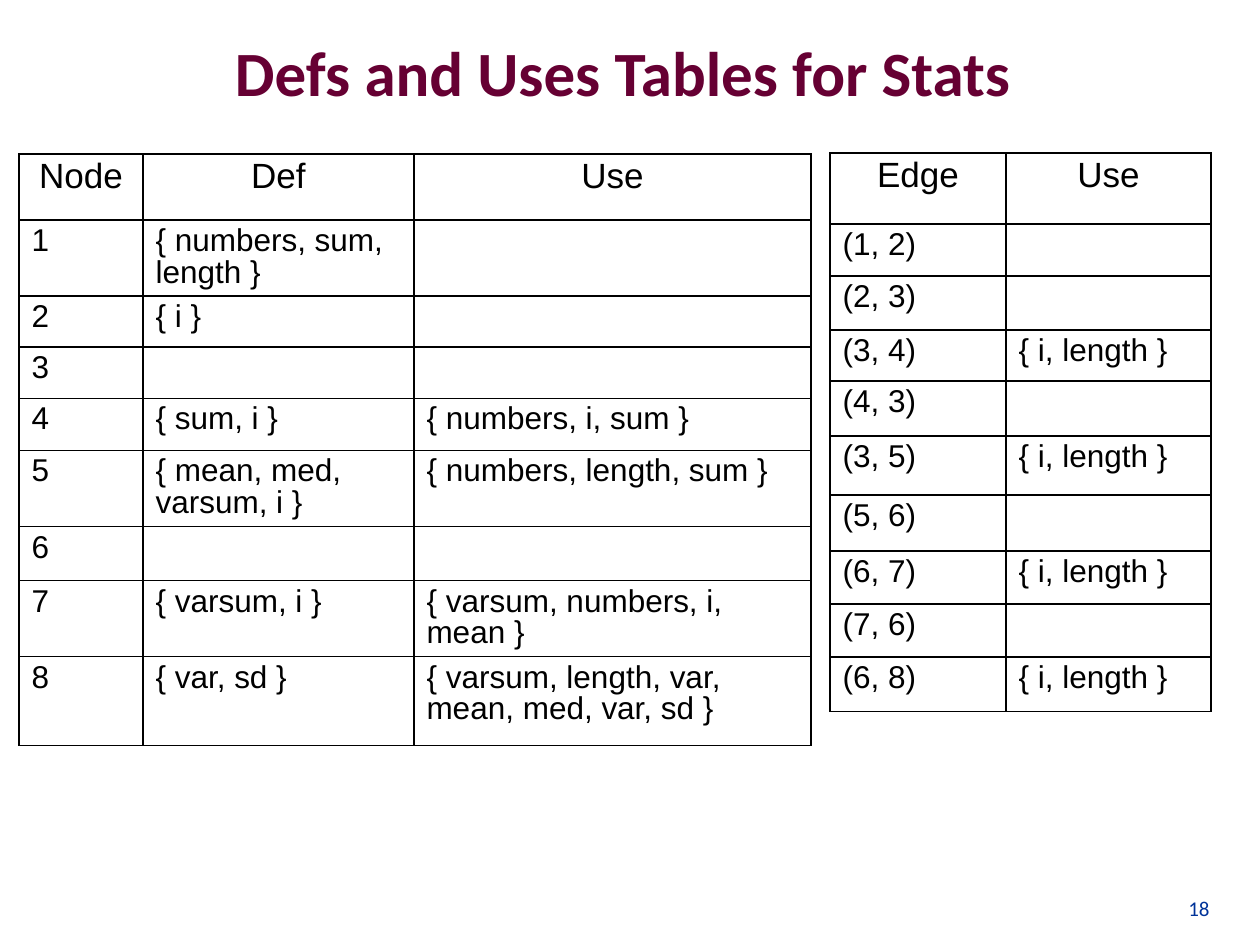
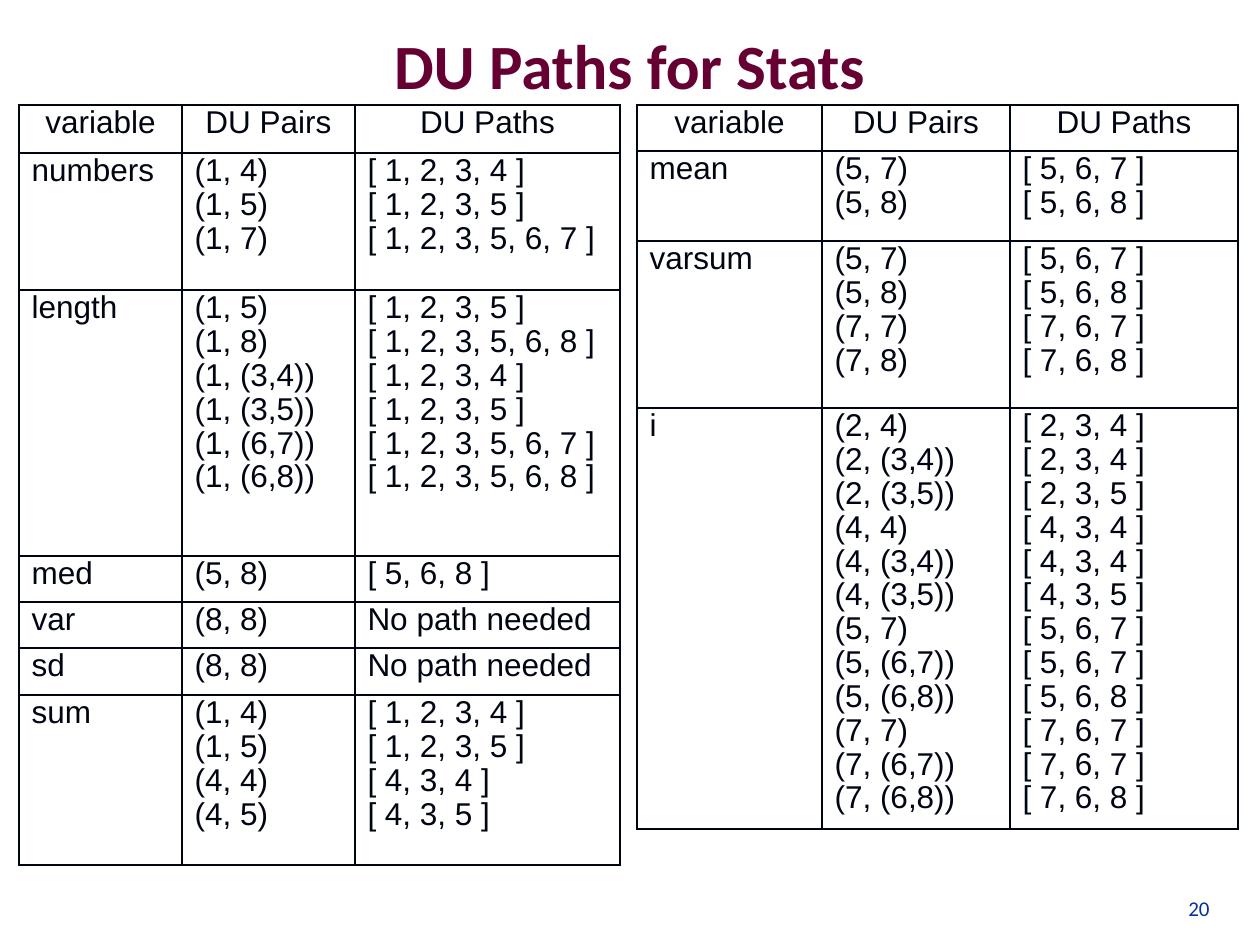
import pptx
import pptx.util
import pptx.dml.color
import pptx.enum.text
import pptx.oxml
import pptx.oxml.ns

PX = 914400 / 126
WHITE = pptx.dml.color.RGBColor(0xFF, 0xFF, 0xFF)
BLACK = pptx.dml.color.RGBColor(0x00, 0x00, 0x00)
INK = pptx.dml.color.RGBColor(0x00, 0x05, 0x14)
MAROON = pptx.dml.color.RGBColor(0x66, 0x00, 0x33)
BLUE = pptx.dml.color.RGBColor(0x00, 0x33, 0x99)
ALIGN = pptx.enum.text.PP_ALIGN
ANCHOR = pptx.enum.text.MSO_ANCHOR

NODES = [
    ("Node", "Def", "Use"),
    ("1", "{ numbers, sum, length }", ""),
    ("2", "{ i }", ""),
    ("3", "", ""),
    ("4", "{ sum, i }", "{ numbers, i, sum }"),
    ("5", "{ mean, med, varsum, i }", "{ numbers, length, sum }"),
    ("6", "", ""),
    ("7", "{ varsum, i }", "{ varsum, numbers, i, mean }"),
    ("8", "{ var, sd }", "{ varsum, length, var, mean, med, var, sd }"),
]
EDGES = [
    ("Edge", "Use"),
    ("(1, 2)", ""),
    ("(2, 3)", ""),
    ("(3, 4)", "{ i, length }"),
    ("(4, 3)", ""),
    ("(3, 5)", "{ i, length }"),
    ("(5, 6)", ""),
    ("(6, 7)", "{ i, length }"),
    ("(7, 6)", ""),
    ("(6, 8)", "{ i, length }"),
]
DU_HEADER = ("variable", "DU Pairs", "DU Paths")
DU_LEFT = [
    DU_HEADER,
    ("numbers", "(1, 4)\n(1, 5)\n(1, 7)",
     "[ 1, 2, 3, 4 ]\n[ 1, 2, 3, 5 ]\n[ 1, 2, 3, 5, 6, 7 ]"),
    ("length", "(1, 5)\n(1, 8)\n(1, (3,4))\n(1, (3,5))\n(1, (6,7))\n(1, (6,8))",
     "[ 1, 2, 3, 5 ]\n[ 1, 2, 3, 5, 6, 8 ]\n[ 1, 2, 3, 4 ]\n"
     "[ 1, 2, 3, 5 ]\n[ 1, 2, 3, 5, 6, 7 ]\n[ 1, 2, 3, 5, 6, 8 ]"),
    ("med", "(5, 8)", "[ 5, 6, 8 ]"),
    ("var", "(8, 8)", "No path needed"),
    ("sd", "(8, 8)", "No path needed"),
    ("sum", "(1, 4)\n(1, 5)\n(4, 4)\n(4, 5)",
     "[ 1, 2, 3, 4 ]\n[ 1, 2, 3, 5 ]\n[ 4, 3, 4 ]\n[ 4, 3, 5 ]"),
]
DU_RIGHT = [
    DU_HEADER,
    ("mean", "(5, 7)\n(5, 8)", "[ 5, 6, 7 ]\n[ 5, 6, 8 ]"),
    ("varsum", "(5, 7)\n(5, 8)\n(7, 7)\n(7, 8)",
     "[ 5, 6, 7 ]\n[ 5, 6, 8 ]\n[ 7, 6, 7 ]\n[ 7, 6, 8 ]"),
    ("i", "(2, 4)\n(2, (3,4))\n(2, (3,5))\n(4, 4)\n(4, (3,4))\n(4, (3,5))\n"
     "(5, 7)\n(5, (6,7))\n(5, (6,8))\n(7, 7)\n(7, (6,7))\n(7, (6,8))",
     "[ 2, 3, 4 ]\n[ 2, 3, 4 ]\n[ 2, 3, 5 ]\n[ 4, 3, 4 ]\n[ 4, 3, 4 ]\n[ 4, 3, 5 ]\n"
     "[ 5, 6, 7 ]\n[ 5, 6, 7 ]\n[ 5, 6, 8 ]\n[ 7, 6, 7 ]\n[ 7, 6, 7 ]\n[ 7, 6, 8 ]"),
]

DEFS_STYLE = {"color": BLACK, "header_size": 20, "spacing": 0.9, "before": 0}
PATHS_STYLE = {"color": INK, "header_size": 18, "spacing": 0.8, "before": 3.2}

SLIDES = [
    {"title": "Defs and Uses Tables for Stats ", "title_box": (63, -8, 1134, 158),
     "number": "18", "style": DEFS_STYLE,
     "tables": [
         (NODES, (19, 143, 414, 811),
          (154, 220, 296, 347, 395, 447, 523, 577, 653, 742)),
         (EDGES, (830, 1006, 1211),
          (153, 224, 276, 330, 381, 436, 495, 551, 604, 657, 712))]},
    {"title": "DU Paths for Stats", "title_box": (94, 14, 1071, 100),
     "number": "20", "style": PATHS_STYLE,
     "tables": [
         (DU_LEFT, (19, 182, 355, 620), (105, 153, 290, 556, 602, 648, 695, 865)),
         (DU_RIGHT, (637, 822, 1010, 1238), (105, 151, 241, 408, 829))]},
]
NUMBER_BOX = (1135, 861, 87, 66)


def emu(*lengths):
    return [pptx.util.Emu(round(n * PX)) for n in lengths]


def gaps(stops):
    return emu(*(b - a for a, b in zip(stops, stops[1:])))


def format_runs(p, font, size, color, bold=False):
    for r in p.runs:
        r.font.name = font
        r.font.size = pptx.util.Pt(size)
        r.font.color.rgb = color
        r.font.bold = bold


def add_borders(cell, color):
    tc_pr = cell._tc.get_or_add_tcPr()
    for side in "LRTB":
        tc_pr.append(pptx.oxml.parse_xml(
            f'<a:ln{side} {pptx.oxml.ns.nsdecls("a")} w="12700"><a:solidFill>'
            f'<a:srgbClr val="{color}"/></a:solidFill></a:ln{side}>'))


def fill_cell(cell, text, header, style):
    add_borders(cell, style["color"])
    cell.fill.solid()
    cell.fill.fore_color.rgb = WHITE
    cell.text_frame.text = text
    for i, p in enumerate(cell.text_frame.paragraphs):
        p.alignment = ALIGN.CENTER if header else ALIGN.LEFT
        p.line_spacing = style["spacing"]
        p.space_before = pptx.util.Pt(style["before"] if i else 0)
        format_runs(p, "Arial", style["header_size"] if header else 18, style["color"])


def add_grid(s, rows, xs, ys, style):
    box = emu(xs[0], ys[0], xs[-1] - xs[0], ys[-1] - ys[0])
    table = s.shapes.add_table(len(rows), len(rows[0]), *box).table
    table.first_row = table.horz_banding = False
    for column, width in zip(table.columns, gaps(xs)):
        column.width = width
    for row, height in zip(table.rows, gaps(ys)):
        row.height = height
    for i, row in enumerate(rows):
        for j, text in enumerate(row):
            fill_cell(table.cell(i, j), text, i == 0, style)


def set_text(sp, text, anchor, align, size, color, bold):
    tf = sp.text_frame
    tf.text = text
    tf.word_wrap = True
    tf.auto_size = pptx.enum.text.MSO_AUTO_SIZE.NONE
    tf.vertical_anchor = anchor
    p = tf.paragraphs[0]
    p.alignment = align
    format_runs(p, "Calibri", size, color, bold)


def add_slide(prs, content):
    s = prs.slides.add_slide(prs.slide_layouts[5])
    title = s.shapes.title
    title.left, title.top, title.width, title.height = emu(*content["title_box"])
    set_text(title, content["title"], ANCHOR.MIDDLE, ALIGN.CENTER, 36, MAROON, True)
    for rows, xs, ys in content["tables"]:
        add_grid(s, rows, xs, ys, content["style"])
    number = s.shapes.add_textbox(*emu(*NUMBER_BOX))
    set_text(number, content["number"], ANCHOR.BOTTOM, ALIGN.RIGHT, 12, BLUE, False)


def main():
    prs = pptx.Presentation()
    prs.slide_width, prs.slide_height = emu(1260, 945)
    for content in SLIDES:
        add_slide(prs, content)
    prs.save("out.pptx")


if __name__ == "__main__":
    main()
